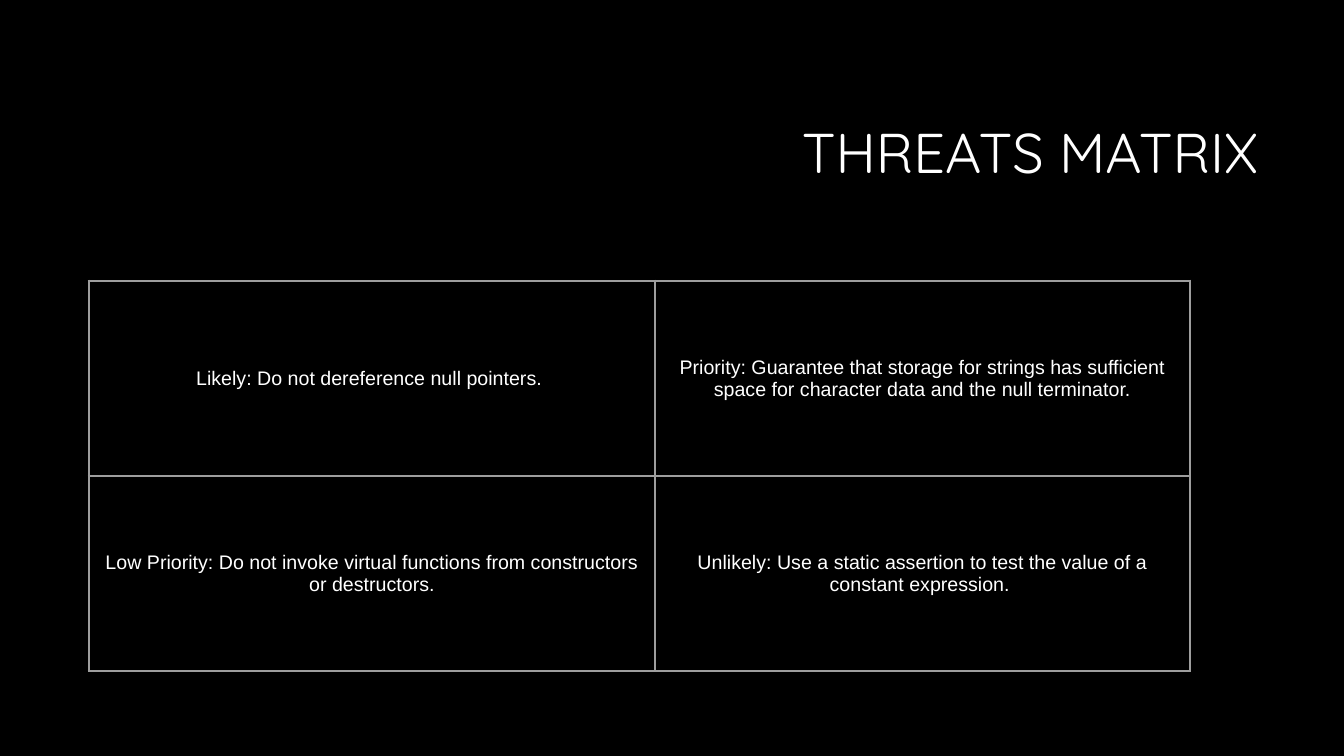
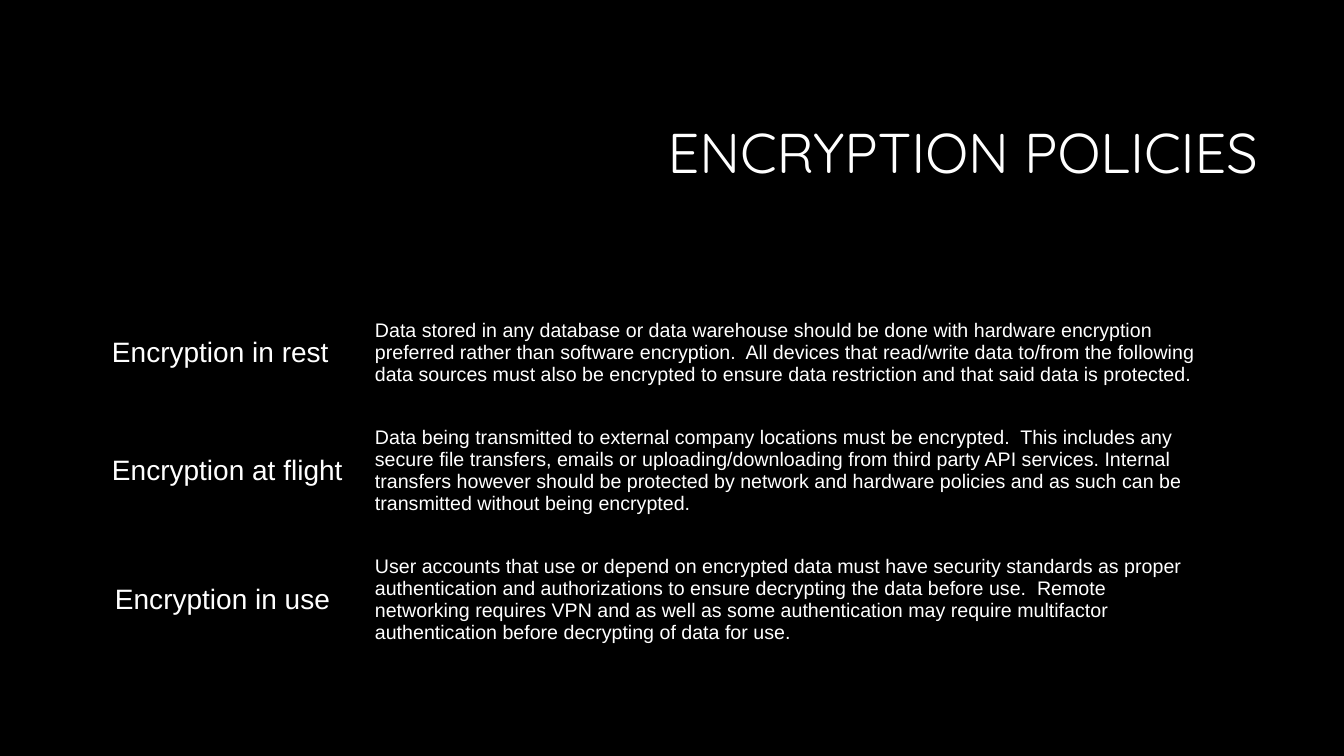
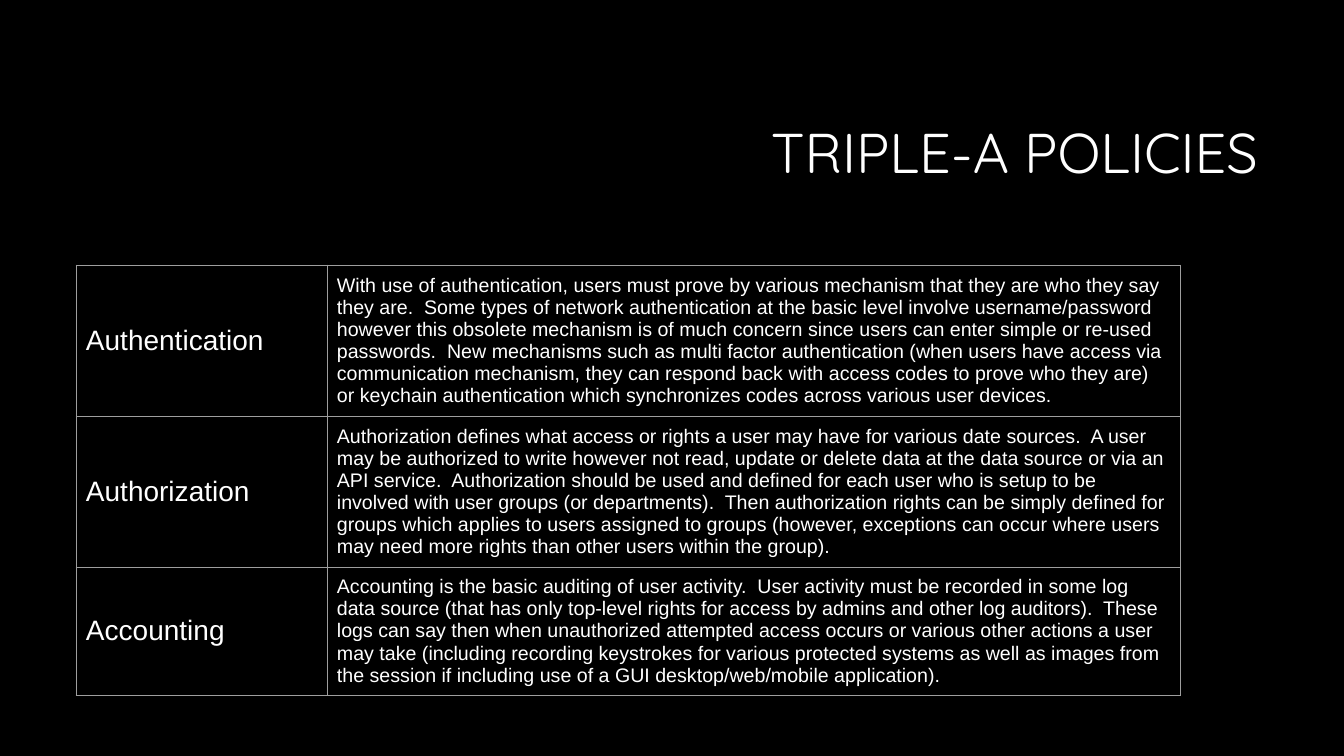
"""Build three dark policy slides, each a right-aligned title above a table."""
from dataclasses import dataclass

from lxml import etree
from pptx import Presentation
from pptx.dml.color import RGBColor
from pptx.enum.text import MSO_ANCHOR, PP_ALIGN
from pptx.oxml.ns import qn
from pptx.util import Emu, Pt

LEFT, CENTER, RIGHT = PP_ALIGN.LEFT, PP_ALIGN.CENTER, PP_ALIGN.RIGHT
MIDDLE = MSO_ANCHOR.MIDDLE
SLIDE_W, SLIDE_H = 1344, 756
EMU_PER_PX = 12192000 / SLIDE_W
BLANK_LAYOUT = 6


@dataclass(frozen=True)
class Theme:
    """Colours, fonts, type sizes and insets shared by the slides."""
    ground: str = "000000"
    ink: str = "FFFFFF"
    rule: str = "9E9E9E"
    title_font: str = "Quicksand"
    body_font: str = "Arial"
    title_size: int = 40
    term_size: int = 20
    body_size: int = 14
    title_box: tuple = (319, 84, 949, 142)
    inset: tuple = (10, 5)
    roomy: tuple = (10, 10)
    tight: tuple = (7, 7)


THEME = Theme()

SLIDES = [
    {
        "title": "THREATS MATRIX",
        "origin": (89, 281), "columns": (566, 535), "rows": (195, 195),
        "height": 390,
        "sizes": (THEME.body_size, THEME.body_size),
        "align": CENTER, "border": 2.25, "fill": THEME.ground,
        "insets": [(THEME.roomy, THEME.roomy), (THEME.tight, THEME.roomy)],
        "cells": [
            ("Likely: Do not dereference null pointers. ",
             "Priority: Guarantee that storage for strings has sufficient space for "
             "character data and the null terminator."),
            ("Low Priority: Do not invoke virtual functions from constructors or "
             "destructors.",
             "Unlikely: Use a static assertion to test the value of a constant "
             "expression. "),
        ],
    },
    {
        "title": "ENCRYPTION POLICIES",
        "origin": (105, 300), "columns": (260, 842), "rows": (106, 129, 129),
        "height": 364,
        "sizes": (THEME.term_size, THEME.body_size),
        "align": LEFT, "border": None, "fill": None,
        "insets": [(THEME.tight, THEME.inset)] * 2 + [(THEME.inset, THEME.inset)],
        "cells": [
            ("Encryption in rest",
             "Data stored in any database or data warehouse should be done with "
             "hardware encryption preferred rather than software encryption.  All "
             "devices that read/write data to/from the following data sources must "
             "also be encrypted to ensure data restriction and that said data is "
             "protected."),
            ("Encryption at flight",
             "Data being transmitted to external company locations must be "
             "encrypted.  This includes any secure file transfers, emails or "
             "uploading/downloading from third party API services. Internal "
             "transfers however should be protected by network and hardware "
             "policies and as such can be transmitted without being encrypted."),
            ("Encryption in use",
             "User accounts that use or depend on encrypted data must have security "
             "standards as proper authentication and authorizations to ensure "
             "decrypting the data before use.  Remote networking requires VPN and "
             "as well as some authentication may require multifactor authentication "
             "before decrypting of data for use."),
        ],
    },
    {
        "title": "TRIPLE-A POLICIES",
        "origin": (76, 265), "columns": (251, 854), "rows": (115, 115, 115),
        "height": 430,
        "sizes": (THEME.term_size, THEME.body_size),
        "align": LEFT, "border": 0.75, "fill": None,
        "insets": [(THEME.inset, THEME.inset)] * 3,
        "cells": [
            ("Authentication",
             "With use of authentication, users must prove by various mechanism "
             "that they are who they say they are.  Some types of network "
             "authentication at the basic level involve username/password however "
             "this obsolete mechanism is of much concern since users can enter "
             "simple or re-used passwords.  New mechanisms such as multi factor "
             "authentication (when users have access via communication mechanism, "
             "they can respond back with access codes to prove who they are) or "
             "keychain authentication which synchronizes codes across various user "
             "devices."),
            ("Authorization",
             "Authorization defines what access or rights a user may have for "
             "various date sources.  A user may be authorized to write however not "
             "read, update or delete data at the data source or via an API "
             "service.  Authorization should be used and defined for each user who "
             "is setup to be involved with user groups (or departments).  Then "
             "authorization rights can be simply defined for groups which applies "
             "to users assigned to groups (however, exceptions can occur where "
             "users may need more rights than other users within the group)."),
            ("Accounting",
             "Accounting is the basic auditing of user activity.  User activity "
             "must be recorded in some log data source (that has only top-level "
             "rights for access by admins and other log auditors).  These logs can "
             "say then when unauthorized attempted access occurs or various other "
             "actions a user may take (including recording keystrokes for various "
             "protected systems as well as images from the session if including use "
             "of a GUI desktop/web/mobile application)."),
        ],
    },
]


def px(length):
    """Turn pixels into EMU."""
    return Emu(round(length * EMU_PER_PX))


def set_insets(holder, inset):
    """Give a cell or text frame its horizontal and vertical insets."""
    across, down = inset
    holder.margin_left = holder.margin_right = px(across)
    holder.margin_top = holder.margin_bottom = px(down)


def write(frame, text, font, size, align):
    """Write one run into the first paragraph of a text frame."""
    paragraph = frame.paragraphs[0]
    paragraph.alignment = align
    run = paragraph.add_run()
    run.text = text
    run.font.name = font
    run.font.size = Pt(size)
    run.font.color.rgb = RGBColor.from_string(THEME.ink)
    return paragraph


def add_title(slide, text):
    """Add the shared title."""
    frame = slide.shapes.add_textbox(*map(px, THEME.title_box)).text_frame
    frame.word_wrap = True
    frame.vertical_anchor = MIDDLE
    set_insets(frame, THEME.inset)
    write(frame, text, THEME.title_font, THEME.title_size, RIGHT).line_spacing = 0.9


def set_borders(cell, width):
    """Draw all four cell borders, or clear them when there is no width."""
    properties = cell._tc.get_or_add_tcPr()
    for side in ("a:lnL", "a:lnR", "a:lnT", "a:lnB"):
        line = etree.SubElement(properties, qn(side), w=str(Pt(width or 0)))
        if width:
            paint = etree.SubElement(line, qn("a:solidFill"))
            etree.SubElement(paint, qn("a:srgbClr"), val=THEME.rule)
        else:
            etree.SubElement(line, qn("a:noFill"))


def style_cell(cell, fill, border, inset):
    """Set the borders, fill, insets and anchor of a cell."""
    set_borders(cell, border)
    if fill:
        cell.fill.solid()
        cell.fill.fore_color.rgb = RGBColor.from_string(fill)
    else:
        cell.fill.background()
    set_insets(cell, inset)
    cell.vertical_anchor = MIDDLE


def add_policy_table(slide, content):
    """Add the table of a slide."""
    columns, rows = content["columns"], content["rows"]
    box = (*content["origin"], sum(columns), content["height"])
    holder = slide.shapes.add_table(len(rows), len(columns), *map(px, box))
    table = holder.table
    table.first_row = table.horz_banding = False
    for column, width in zip(table.columns, columns):
        column.width = px(width)
    for r, texts in enumerate(content["cells"]):
        table.rows[r].height = px(rows[r])
        for c, text in enumerate(texts):
            cell = table.cell(r, c)
            style_cell(cell, content["fill"], content["border"], content["insets"][r][c])
            write(cell.text_frame, text, THEME.body_font, content["sizes"][c],
                  content["align"])
    holder.height = px(content["height"])


def main():
    """Build and save the presentation."""
    deck = Presentation()
    deck.slide_width, deck.slide_height = px(SLIDE_W), px(SLIDE_H)
    ground = deck.slide_master.background.fill
    ground.solid()
    ground.fore_color.rgb = RGBColor.from_string(THEME.ground)
    for content in SLIDES:
        slide = deck.slides.add_slide(deck.slide_layouts[BLANK_LAYOUT])
        add_title(slide, content["title"])
        add_policy_table(slide, content)
    deck.save("out.pptx")


if __name__ == "__main__":
    main()
